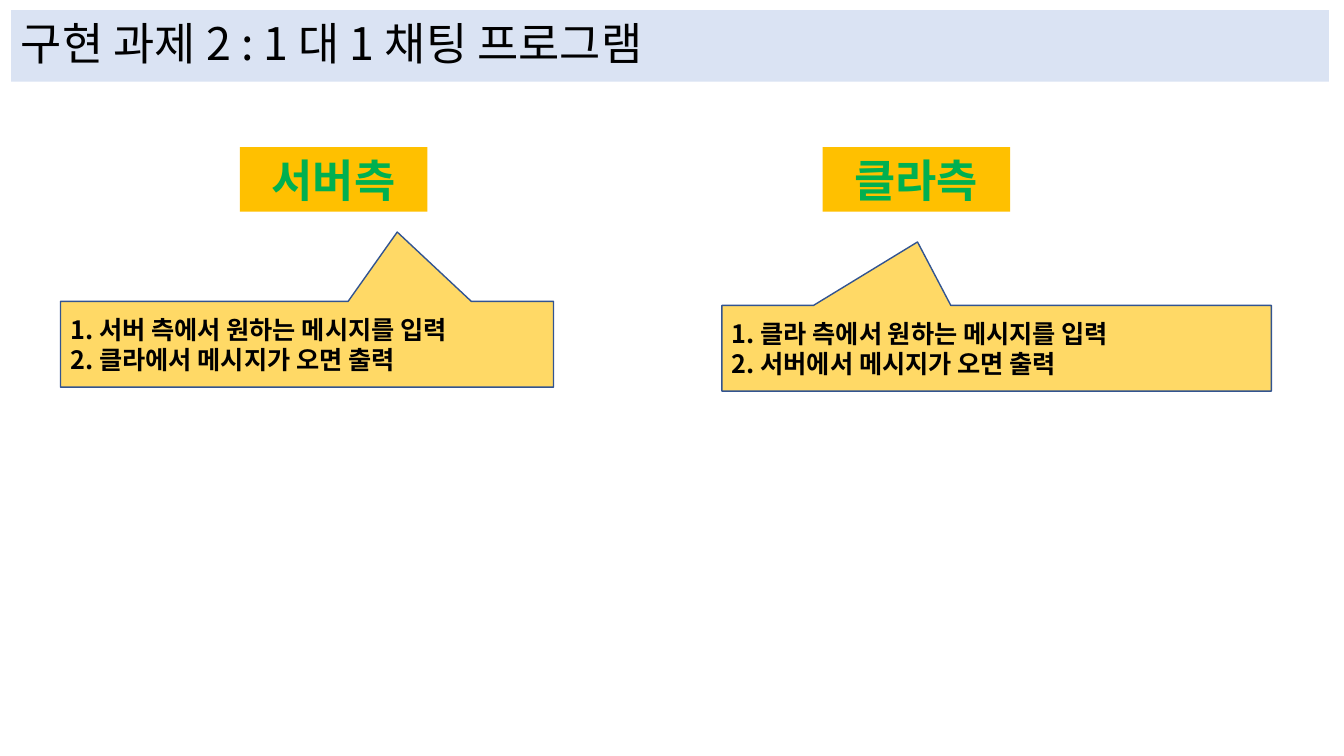
from dataclasses import dataclass

import pptx
import pptx.dml.color
import pptx.enum.shapes
import pptx.enum.text
import pptx.oxml.ns
import pptx.util
from lxml import etree

TITLE = "구현 과제 2 : 1 대 1 채팅 프로그램"
# heading, heading left, callout box, pointer offset as shares of the box, steps
SIDES = [
    ("서버측", 2.38, (0.6, 2.99, 4.89, 0.85), (0.183, -1.31),
     ["1. 서버 측에서 원하는 메시지를 입력", "2. 클라에서 메시지가 오면 출력"]),
    ("클라측", 8.16, (7.16, 3.03, 5.45, 0.85), (-0.144, -1.241),
     ["1. 클라 측에서 원하는 메시지를 입력", "2. 서버에서 메시지가 오면 출력"]),
]
TITLE_BOX = (0.11, 0.1, 13.07, 0.71)
HEAD_TOP, HEAD_W, HEAD_H = 1.46, 1.86, 0.64


@dataclass(frozen=True)
class Theme:
    font: str = "Noto Sans CJK KR"
    large: int = 32
    body: int = 18
    text: str = "000000"
    heading: str = "00B050"
    title_fill: str = "DAE3F3"
    head_fill: str = "FFC000"
    callout_fill: str = "FFD966"
    line: str = "325491"


T = Theme()
SHAPE = pptx.enum.shapes.MSO_SHAPE
ALIGN = pptx.enum.text.PP_ALIGN
RGB = pptx.dml.color.RGBColor.from_string


def set_font(font, size, color, bold):
    font.size, font.bold, font.name = pptx.util.Pt(size), bold, T.font
    font.color.rgb = RGB(color)


def add_box(s, kind, box, fill, lines, size, color=T.text, bold=True,
            align=ALIGN.LEFT, spacing=1.0):
    sp = s.shapes.add_shape(kind, *map(pptx.util.Inches, box))
    sp.shadow.inherit = False
    sp.fill.solid()
    sp.fill.fore_color.rgb = RGB(fill)
    sp.line.fill.background()
    tf = sp.text_frame
    tf.word_wrap = True
    tf.vertical_anchor = pptx.enum.text.MSO_ANCHOR.MIDDLE
    tf.text = "\n".join(lines)
    for p in tf.paragraphs:
        p.alignment, p.line_spacing = align, spacing
        set_font(p.font, size, color, bold)
    # Hangul takes its typeface from a:ea, which follows a:latin
    for latin in sp.element.iter(pptx.oxml.ns.qn("a:latin")):
        ea = etree.Element(pptx.oxml.ns.qn("a:ea"), typeface=T.font)
        latin.addnext(ea)
    return sp


def main():
    prs = pptx.Presentation()
    prs.slide_width = pptx.util.Inches(13.33)
    prs.slide_height = pptx.util.Inches(7.5)
    s = prs.slides.add_slide(prs.slide_layouts[6])

    add_box(s, SHAPE.RECTANGLE, TITLE_BOX, T.title_fill, [TITLE], T.large,
            bold=False, spacing=0.9)
    for heading, left, box, pointer, steps in SIDES:
        add_box(s, SHAPE.RECTANGLE, (left, HEAD_TOP, HEAD_W, HEAD_H),
                T.head_fill, [heading], T.large, T.heading, align=ALIGN.CENTER)
        callout = add_box(s, SHAPE.RECTANGULAR_CALLOUT, box, T.callout_fill,
                          steps, T.body)
        callout.line.color.rgb = RGB(T.line)
        callout.line.width = pptx.util.Pt(1)
        callout.adjustments[0], callout.adjustments[1] = pointer

    prs.save("out.pptx")


if __name__ == "__main__":
    main()
